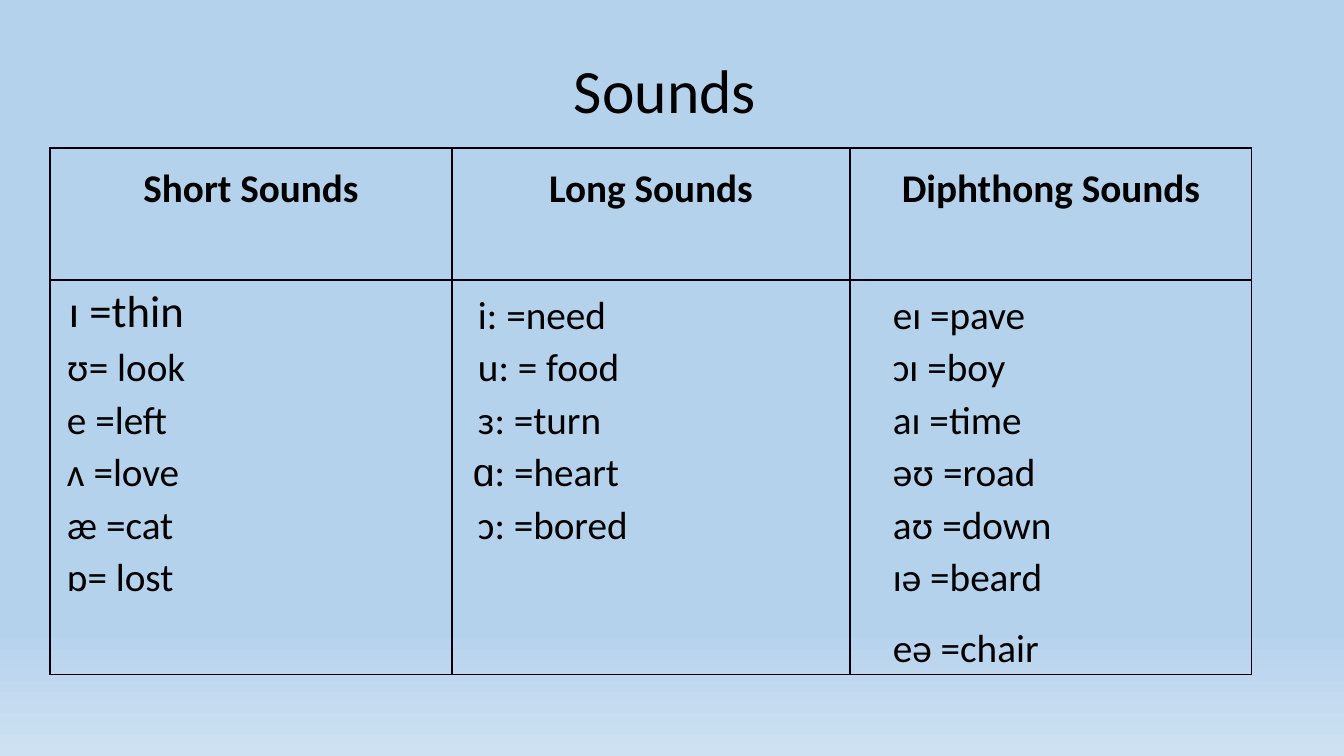
from lxml import etree
from pptx import Presentation
from pptx import util as u
from pptx.dml import color
from pptx.enum import text
from pptx.oxml import ns

SCALE = u.Inches(1) / 100.8


def px(length):
    return u.Emu(round(length * SCALE))


def rgb(value):
    return color.RGBColor.from_string(value)


class SoundSlide:
    font_name = "Calibri"
    phonetic_font = "Arial"
    ink = "000000"
    border = "00000A"

    def __init__(self, presentation):
        self.slide = presentation.slides.add_slide(presentation.slide_layouts[6])

    def background(self, top, bottom, start):
        fill = self.slide.background.fill
        fill.gradient()
        fill.gradient_angle = 270
        for stop, shade, position in zip(fill.gradient_stops, (top, bottom), (start, 1)):
            stop.color.rgb = rgb(shade)
            stop.position = position

    def style_run(self, run, size, bold=False, name=None):
        run.font.name = name or self.font_name
        run.font.size = u.Pt(size)
        run.font.bold = bold
        run.font.color.rgb = rgb(self.ink)

    def title(self, words, left, top, width, height, indent):
        frame = self.slide.shapes.add_textbox(px(left), px(top), px(width), px(height)).text_frame
        frame.word_wrap = True
        frame.vertical_anchor = text.MSO_ANCHOR.MIDDLE
        frame.margin_left = px(indent)
        frame.text = words
        paragraph = frame.paragraphs[0]
        paragraph.line_spacing = 0.9
        self.style_run(paragraph.runs[0], 44)

    def table(self, left, top, widths, heights):
        table = self.slide.shapes.add_table(
            len(heights), len(widths), px(left), px(top), px(sum(widths)), px(sum(heights))
        ).table
        table.first_row = False
        table.horz_banding = False
        for column, width in zip(table.columns, widths):
            column.width = px(width)
        for row, height in zip(table.rows, heights):
            row.height = px(height)
        return table

    def cell_frame(self, cell, sides):
        properties = cell._tc.get_or_add_tcPr()
        for side in "LRTB":
            line = etree.SubElement(properties, ns.qn(f"a:ln{side}"), w=str(u.Pt(1)))
            if side in sides:
                fill = etree.SubElement(line, ns.qn("a:solidFill"))
                etree.SubElement(fill, ns.qn("a:srgbClr"), val=self.border)
            else:
                etree.SubElement(line, ns.qn("a:noFill"))
        cell.fill.background()
        cell.margin_left = cell.margin_right = cell.margin_top = cell.margin_bottom = 0

    def empty_cell(self, cell):
        paragraph = cell.text_frame.paragraphs[0]
        etree.SubElement(paragraph._p, ns.qn("a:endParaRPr"), sz="100")

    def heading_cell(self, cell, words):
        cell.vertical_anchor = text.MSO_ANCHOR.MIDDLE
        cell.text_frame.text = words
        paragraph = cell.text_frame.paragraphs[0]
        paragraph.alignment = text.PP_ALIGN.CENTER
        self.style_run(paragraph.runs[0], 28, bold=True)

    def sound_cell(self, cell, words, indent, size=28):
        cell.vertical_anchor = text.MSO_ANCHOR.BOTTOM
        cell.margin_left = px(indent)
        paragraph = cell.text_frame.paragraphs[0]
        if words.startswith("ɑ"):
            cell.margin_left = px(21)
            symbol = paragraph.add_run()
            symbol.text = words[0]
            self.style_run(symbol, size, name=self.phonetic_font)
            words = words[1:]
        run = paragraph.add_run()
        run.text = words
        self.style_run(run, size)


SOUNDS = {
    "Short Sounds": ["ɪ =thin", "ʊ= look", "e =left", "ʌ =love", "æ =cat", "ɒ= lost"],
    "Long Sounds": ["i: =need", "u: = food", "ɜ: =turn", "ɑ: =heart", "ɔ: =bored"],
    "Diphthong Sounds": [
        "eɪ =pave", "ɔɪ =boy", "aɪ =time", "əʊ =road", "aʊ =down", "ɪə =beard", "eə =chair",
    ],
}
COLUMN_WIDTHS = [402, 398, 402]
ROW_HEIGHTS = [83, 49, 60, 52, 53, 52, 53, 52, 71, 1]
INDENTS = [17, 26, 43]
FIRST_SOUND_ROW = 2


def main():
    presentation = Presentation()
    presentation.slide_width = px(1344)
    presentation.slide_height = px(756)
    page = SoundSlide(presentation)
    page.background("B5D2EC", "CEE1F2", 0.83)
    page.title("Sounds", 93, 40, 1159, 108, 481)
    table = page.table(50, 148, COLUMN_WIDTHS, ROW_HEIGHTS)
    last_row = len(ROW_HEIGHTS) - 1
    row_sides = {0: "LRT", 1: "LRB", FIRST_SOUND_ROW: "LRT", last_row: "LRB"}
    for column, (heading, sounds) in enumerate(SOUNDS.items()):
        for row in range(len(ROW_HEIGHTS)):
            cell = table.cell(row, column)
            page.cell_frame(cell, row_sides.get(row, "LR"))
            index = row - FIRST_SOUND_ROW
            if row == 0:
                page.heading_cell(cell, heading)
            elif 0 <= index < len(sounds):
                larger = index == 0 and column == 0
                indent = INDENTS[column] + (2 if larger else 0)
                page.sound_cell(cell, sounds[index], indent, 32 if larger else 28)
            else:
                page.empty_cell(cell)
    presentation.save("out.pptx")


if __name__ == "__main__":
    main()
